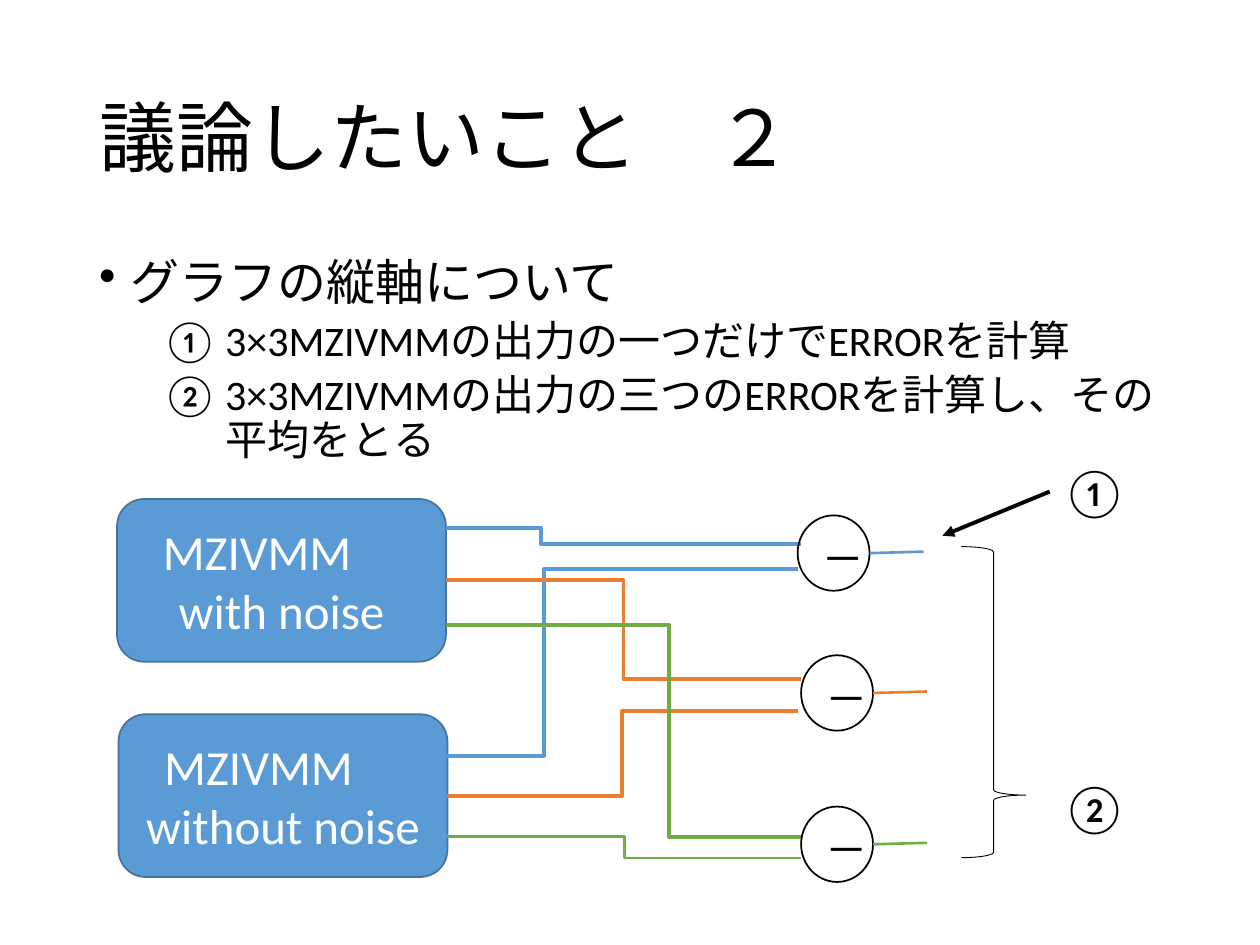
from dataclasses import dataclass

from lxml.etree import SubElement
from pptx import Presentation
from pptx.dml.color import RGBColor
from pptx.enum.lang import MSO_LANGUAGE_ID
from pptx.enum.shapes import MSO_CONNECTOR, MSO_SHAPE
from pptx.enum.text import MSO_ANCHOR, PP_ALIGN
from pptx.oxml.ns import qn
from pptx.util import Cm, Pt


@dataclass(frozen=True)
class Theme:
    font: str = "Calibri"
    ink: str = "000000"
    white: str = "FFFFFF"
    blue: str = "5B9BD5"
    edge: str = "43739E"
    orange: str = "ED7D31"
    green: str = "70AD47"
    title: int = 44
    main: int = 28
    sub: int = 24


T = Theme()


def rgb(code):
    return RGBColor.from_string(code)


def add_run(par, text, size, color=T.ink):
    run = par.add_run()
    run.text = text
    font = run.font
    font.name, font.size = T.font, Pt(size)
    font.color.rgb = rgb(color)
    font.language_id = MSO_LANGUAGE_ID.JAPANESE


def add_box(slide, box, wrap=True):
    frame = slide.shapes.add_textbox(*map(Cm, box)).text_frame
    frame.word_wrap = wrap
    return frame


def add_form(slide, kind, box, fill=None, line=T.ink, width=1):
    form = slide.shapes.add_shape(kind, *map(Cm, box))
    form.shadow.inherit = False
    if fill:
        form.fill.solid()
        form.fill.fore_color.rgb = rgb(fill)
    else:
        form.fill.background()
    form.line.color.rgb = rgb(line)
    form.line.width = Pt(width)
    return form


def add_label(form, text, color):
    frame = form.text_frame
    frame.word_wrap = True
    frame.vertical_anchor = MSO_ANCHOR.MIDDLE
    par = frame.paragraphs[0]
    par.alignment = PP_ALIGN.CENTER
    add_run(par, text, T.main, color)


def add_line(slide, start, end, color, width, bend=None):
    kind = MSO_CONNECTOR.ELBOW if bend else MSO_CONNECTOR.STRAIGHT
    line = slide.shapes.add_connector(kind, *map(Cm, (*start, *end)))
    line.line.color.rgb = rgb(color)
    line.line.width = Pt(width)
    props = line._element.spPr
    SubElement(props, qn("a:effectLst"))
    if bend:
        guides = props.find(qn("a:prstGeom")).get_or_add_avLst()
        SubElement(guides, qn("a:gd"), name="adj1", fmla=f"val {round(bend * 100000)}")
    return line


def add_title(slide, box):
    frame = add_box(slide, box)
    frame.vertical_anchor = MSO_ANCHOR.MIDDLE
    par = frame.paragraphs[0]
    par.line_spacing = 0.9
    add_run(par, "議論したいこと　２", T.title)


def add_item(par, runs, size, space, left, hang, tag, **mark):
    par.line_spacing = 0.9
    par.space_before = Pt(space)
    props = par._p.get_or_add_pPr()
    props.set("marL", str(Cm(left)))
    props.set("indent", str(-Cm(hang)))
    SubElement(props, qn(tag), **mark)
    for text in runs:
        add_run(par, text, size)


def add_body(slide, box):
    frame = add_box(slide, box)
    add_item(frame.paragraphs[0], ["グラフの縦軸について"], T.main, 10,
             0.64, 0.64, "a:buChar", char="•")
    for runs in (["3×3MZIVMM", "の出力の一つだけで", "ERROR", "を計算"],
                 ["3×3MZIVMM", "の出力の三つの", "ERROR", "を計算し、その平均をとる"]):
        par = frame.add_paragraph()
        par.level = 1
        add_item(par, runs, T.sub, 5, 2.54, 1.27,
                 "a:buAutoNum", type="circleNumDbPlain")


def add_flow(slide, left, top):
    # Two sources
    wide, high = 6.63, 3.28
    units = []
    for dx, dy, text in ((0, 0, "MZIVMM　with noise"),
                         (0.03, 4.34, "MZIVMM　without noise")):
        unit = add_form(slide, MSO_SHAPE.ROUNDED_RECTANGLE,
                        (left + dx, top + dy, wide, high), T.blue, T.edge)
        add_label(unit, text, T.white)
        units.append((unit, left + dx + wide, top + dy))

    # Wires: source, lead, node x, node y, colour, width, bend
    near, far = left + 13.72, left + 13.79
    wires = (
        (0, 0.58, far, 0.91, T.blue, 2.25, 0.268),
        (1, 0.84, near, 1.42, T.blue, 2.25, 0.275),
        (0, high / 2, far, 3.63, T.orange, 2.25, 0.5),
        (1, high / 2, near, 4.27, T.orange, 2.25, 0.5),
        (0, 2.54, far, 6.81, T.green, 2.25, 0.628),
        (1, 2.47, far, 7.24, T.green, 1.5, 0.5),
    )
    for index, lead, x, y, color, width, bend in wires:
        unit, side, head = units[index]
        wire = add_line(slide, (side, head + lead), (x, top + y), color, width, bend)
        if lead == high / 2:
            wire.begin_connect(unit, 3)

    # Minus nodes and their outputs
    w, h = 1.45, 1.52
    for x, dy, color in ((near, 0.33, T.blue), (far, 3.15, T.orange),
                         (far, 6.2, T.green)):
        y = top + dy
        node = add_form(slide, MSO_SHAPE.OVAL, (x, y, w, h))
        add_label(node, "―", T.ink)
        mid = y + h / 2
        add_line(slide, (x + w, mid), (x + w + 1.09, mid - 0.03), color, 1.5)


def add_notes(slide, left, top):
    # Brace over all outputs
    brace = add_form(slide, MSO_SHAPE.RIGHT_BRACE,
                     (left, top + 1.85, 1.3, 6.27), width=0.5)
    brace.adjustments[0] = 0.083
    brace.adjustments[1] = 0.799

    # Arrow to the first output
    arrow = add_line(slide, (left + 1.78, top + 0.74),
                     (left - 0.38, top + 1.63), T.ink, 2.25)
    SubElement(arrow.line._get_or_add_ln(), qn("a:tailEnd"), type="triangle")

    # Circled numbers
    for text, dy in (("①", 0), ("②", 6.38)):
        frame = add_box(slide, (left + 1.78, top + dy, 1.5, 1.45), wrap=False)
        add_run(frame.paragraphs[0], text, T.main)


def main():
    deck = Presentation()
    deck.slide_width, deck.slide_height = Cm(25.4), Cm(19.05)
    slide = deck.slides.add_slide(deck.slide_layouts[6])
    add_title(slide, (1.75, 1.02, 21.9, 3.68))
    add_body(slide, (1.75, 5.08, 21.9, 13.59))
    add_flow(slide, 2.36, 10.06)
    add_notes(slide, 19.38, 9.17)
    deck.save("out.pptx")


if __name__ == "__main__":
    main()
